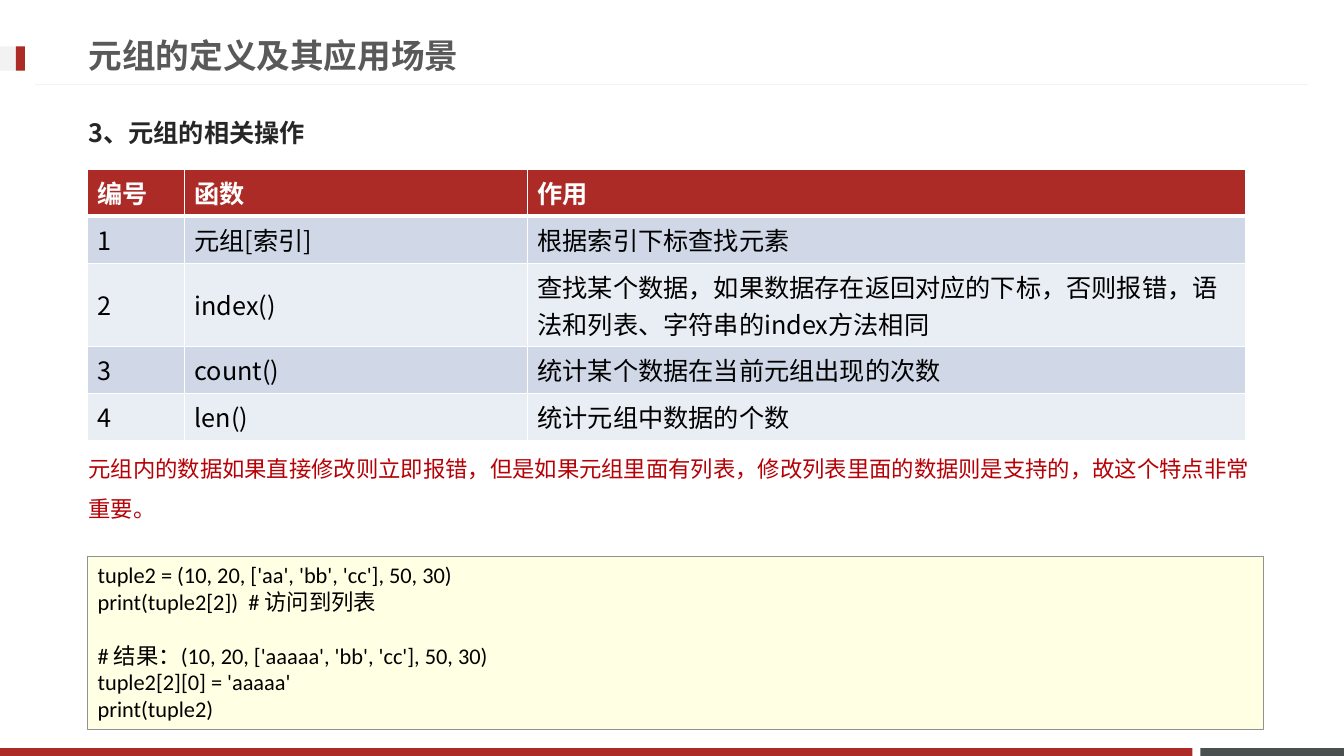
from lxml.etree import SubElement
from pptx import Presentation
from pptx.dml.color import RGBColor
from pptx.enum.shapes import MSO_CONNECTOR, MSO_SHAPE
from pptx.enum.text import MSO_ANCHOR, PP_ALIGN
from pptx.oxml import parse_xml
from pptx.oxml.ns import nsdecls, qn
from pptx.util import Cm, Pt

COLORS = {
    "red": "AD2B26", "slate": "49504F", "pale": "F2F2F2", "title": "595959",
    "heading": "262626", "warning": "B60206", "black": "000000",
    "white": "FFFFFF", "odd_row": "D0D8E8", "even_row": "E9EDF4",
    "code_fill": "FFFFE4", "code_line": "919191",
}
CJK_FONT = "Noto Sans CJK JP"


def style_text(text_frame, font_name, size, color, bold=False):
    for paragraph in text_frame.paragraphs:
        paragraph.alignment = PP_ALIGN.LEFT
        for run in paragraph.runs:
            run.font.name = font_name
            run.font.size = Pt(size)
            run.font.bold = bold
            run.font.color.rgb = RGBColor.from_string(COLORS[color])
            SubElement(run.font._element, qn("a:ea")).set("typeface", font_name)


def add_box(left, top, width, height, fill):
    shape = slide.shapes.add_shape(
        MSO_SHAPE.RECTANGLE, Cm(left), Cm(top), Cm(width), Cm(height))
    shape.shadow.inherit = False
    shape.fill.solid()
    shape.fill.fore_color.rgb = RGBColor.from_string(COLORS[fill])
    shape.line.fill.background()
    return shape


presentation = Presentation()
presentation.slide_width = Cm(33.87)
presentation.slide_height = Cm(19.05)
slide = presentation.slides.add_slide(presentation.slide_layouts[5])

add_box(30.25, 18.85, 3.62, 0.2, "slate")
add_box(0, 18.85, 30.05, 0.2, "red")
add_box(0, 1.17, 0.63, 0.61, "pale")
add_box(0.4, 1.17, 0.23, 0.61, "red")

title_rule = slide.shapes.add_connector(
    MSO_CONNECTOR.STRAIGHT, Cm(32.97), Cm(2.13), Cm(0.89), Cm(2.13))
title_rule.line.color.rgb = RGBColor.from_string(COLORS["pale"])
title_rule.line.width = Pt(0.75)
SubElement(title_rule._element.spPr, qn("a:effectLst"))

title = slide.shapes.title
title.left, title.top, title.width, title.height = Cm(1.98), Cm(0.67), Cm(24.36), Cm(1.45)
title.text_frame.text = "元组的定义及其应用场景"
title.text_frame.vertical_anchor = MSO_ANCHOR.MIDDLE
style_text(title.text_frame, "Roboto", 24, "title", True)

heading = slide.shapes.add_textbox(Cm(1.98), Cm(2.62), Cm(29.87), Cm(1.45))
heading.text_frame.word_wrap = True
heading.text_frame.vertical_anchor = MSO_ANCHOR.MIDDLE
heading.text_frame.text = "3、元组的相关操作"
style_text(heading.text_frame, CJK_FONT, 18, "heading", True)

warning = slide.shapes.add_textbox(Cm(1.98), Cm(11), Cm(29.87), Cm(2.4))
warning.text_frame.word_wrap = True
warning.text_frame.text = (
    "元组内的数据如果直接修改则立即报错，但是如果元组里面有列表，"
    "修改列表里面的数据则是支持的，故这个特点非常重要。")
warning.text_frame.paragraphs[0].line_spacing = 1.5
style_text(warning.text_frame, "Roboto", 16, "warning")

operations = [
    ("编号", "函数", "作用"),
    ("1", "元组[索引]", "根据索引下标查找元素"),
    ("2", "index()", "查找某个数据，如果数据存在返回对应的下标，否则报错，"
     "语法和列表、字符串的index方法相同"),
    ("3", "count()", "统计某个数据在当前元组出现的次数"),
    ("4", "len()", "统计元组中数据的个数"),
]
column_widths = [2.44, 8.64, 18.11]
row_heights = [1.18, 1.18, 2.1, 1.18, 1.18]
table = slide.shapes.add_table(
    len(operations), len(column_widths), Cm(2.21), Cm(4.27),
    Cm(sum(column_widths)), Cm(sum(row_heights))).table
for column, width in zip(table.columns, column_widths):
    column.width = Cm(width)
for row_index, (row, values) in enumerate(zip(table.rows, operations)):
    row.height = Cm(row_heights[row_index])
    is_header = row_index == 0
    row_fill = "red" if is_header else "odd_row" if row_index % 2 else "even_row"
    for cell, value in zip(row.cells, values):
        cell.text_frame.text = value
        cell.vertical_anchor = MSO_ANCHOR.MIDDLE
        cell.fill.solid()
        cell.fill.fore_color.rgb = RGBColor.from_string(COLORS[row_fill])
        style_text(cell.text_frame, CJK_FONT, 18,
                   "white" if is_header else "black", is_header)
        for position, side in enumerate(("lnL", "lnR", "lnT", "lnB")):
            thick = (is_header and side == "lnB") or (row_index == 1 and side == "lnT")
            border = parse_xml(
                f'<a:{side} {nsdecls("a")} w="{Pt(3 if thick else 1)}"><a:solidFill>'
                f'<a:srgbClr val="{COLORS["white"]}"/></a:solidFill></a:{side}>')
            cell._tc.get_or_add_tcPr().insert(position, border)

code_box = add_box(2.21, 14.02, 29.63, 4.36, "code_fill")
code_box.line.color.rgb = RGBColor.from_string(COLORS["code_line"])
code_box.line.width = Pt(0.25)
code = code_box.text_frame
code.word_wrap = True
code.vertical_anchor = MSO_ANCHOR.TOP
code.text = "\n".join([
    "tuple2 = (10, 20, ['aa', 'bb', 'cc'], 50, 30)",
    "print(tuple2[2])  # 访问到列表",
    "# 结果：(10, 20, ['aaaaa', 'bb', 'cc'], 50, 30)",
    "tuple2[2][0] = 'aaaaa'",
    "print(tuple2)",
])
code.paragraphs[2].space_before = Pt(19)
style_text(code, "Calibri", 16, "black")

presentation.save("out.pptx")
